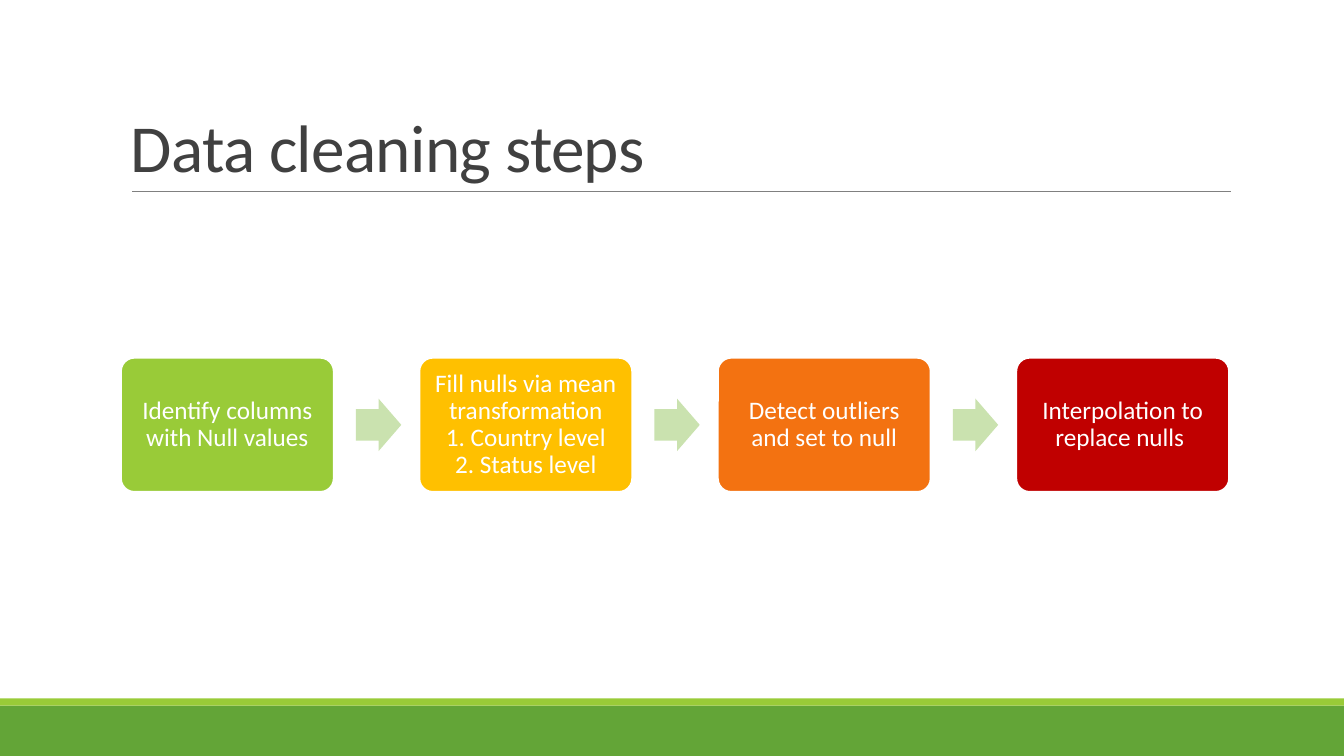
from lxml.etree import SubElement
from pptx import Presentation
from pptx.dml.color import RGBColor
from pptx.enum.shapes import MSO_CONNECTOR as CONNECTOR, MSO_SHAPE as SHAPE
from pptx.enum.text import MSO_ANCHOR as ANCHOR, PP_ALIGN as ALIGN
from pptx.oxml.ns import qn
from pptx.util import Inches, Pt

TITLE = "Data cleaning steps"
STEPS = [
    ("Identify columns with Null values", "99CB38"),
    ("Fill nulls via mean transformation\v1. Country level\v2. Status level", "FFC000"),
    ("Detect outliers and set to null", "F37211"),
    ("Interpolation to replace nulls ", "C00000"),
]
FOOTER_BANDS = [(7, 0.5, "63A537"), (6.93, 0.07, "99CB38")]

SLIDE_W, SLIDE_H = 13.33, 7.5
STEP_LEFT, STEP_TOP, STEP_W, STEP_H = 1.2, 3.55, 2.11, 1.33
STEP_PITCH = 2.96
ARROW_OFFSET, ARROW_W, ARROW_H = 2.33, 0.45, 0.52
ARROW_TOP = STEP_TOP + (STEP_H - ARROW_H) / 2


def color(hex_value):
    return RGBColor.from_string(hex_value)


def add_block(kind, left, top, width, height, fill, adjustments=()):
    block = slide.shapes.add_shape(
        kind, Inches(left), Inches(top), Inches(width), Inches(height))
    block.shadow.inherit = False
    block.fill.solid()
    block.fill.fore_color.rgb = color(fill)
    block.line.fill.background()
    for index, value in enumerate(adjustments):
        block.adjustments[index] = value
    return block


def write(frame, text, size, ink, align, anchor, spacing):
    frame.word_wrap = True
    frame.vertical_anchor = anchor
    frame.text = text
    paragraph = frame.paragraphs[0]
    paragraph.alignment = align
    paragraph.line_spacing = spacing
    for run in paragraph.runs:
        run.font.name = "Calibri"
        run.font.size = Pt(size)
        run.font.color.rgb = color(ink)
    return paragraph


prs = Presentation()
prs.slide_width, prs.slide_height = Inches(SLIDE_W), Inches(SLIDE_H)
slide = prs.slides.add_slide(prs.slide_layouts[6])

for top, height, fill in FOOTER_BANDS:
    add_block(SHAPE.RECTANGLE, 0, top, SLIDE_W, height, fill)

title_rule = slide.shapes.add_connector(
    CONNECTOR.STRAIGHT, Inches(1.31), Inches(1.9), Inches(12.21), Inches(1.9))
title_rule.line.color.rgb = color("808080")
title_rule.line.width = Pt(0.5)
SubElement(title_rule._element.spPr, qn("a:effectLst"))

title = slide.shapes.add_textbox(Inches(1.2), Inches(0.31), Inches(11), Inches(1.59))
heading = write(title.text_frame, TITLE, 48, "404040", ALIGN.LEFT, ANCHOR.BOTTOM, 0.85)
heading.runs[0]._r.get_or_add_rPr().set("spc", "-50")

for number, (text, fill) in enumerate(STEPS):
    left = STEP_LEFT + number * STEP_PITCH
    step = add_block(SHAPE.ROUNDED_RECTANGLE, left, STEP_TOP, STEP_W, STEP_H, fill, [0.1])
    step.line.color.rgb = color("FFFFFF")
    step.line.width = Pt(1.25)
    frame = step.text_frame
    frame.margin_left = frame.margin_right = Inches(0.07)
    frame.margin_top = frame.margin_bottom = Inches(0.07)
    write(frame, text, 18, "FFFFFF", ALIGN.CENTER, ANCHOR.MIDDLE, 0.9)
    if number < len(STEPS) - 1:
        add_block(SHAPE.RIGHT_ARROW, left + ARROW_OFFSET, ARROW_TOP,
                  ARROW_W, ARROW_H, "CAE2AF", [0.6, 0.5])

prs.save("out.pptx")
